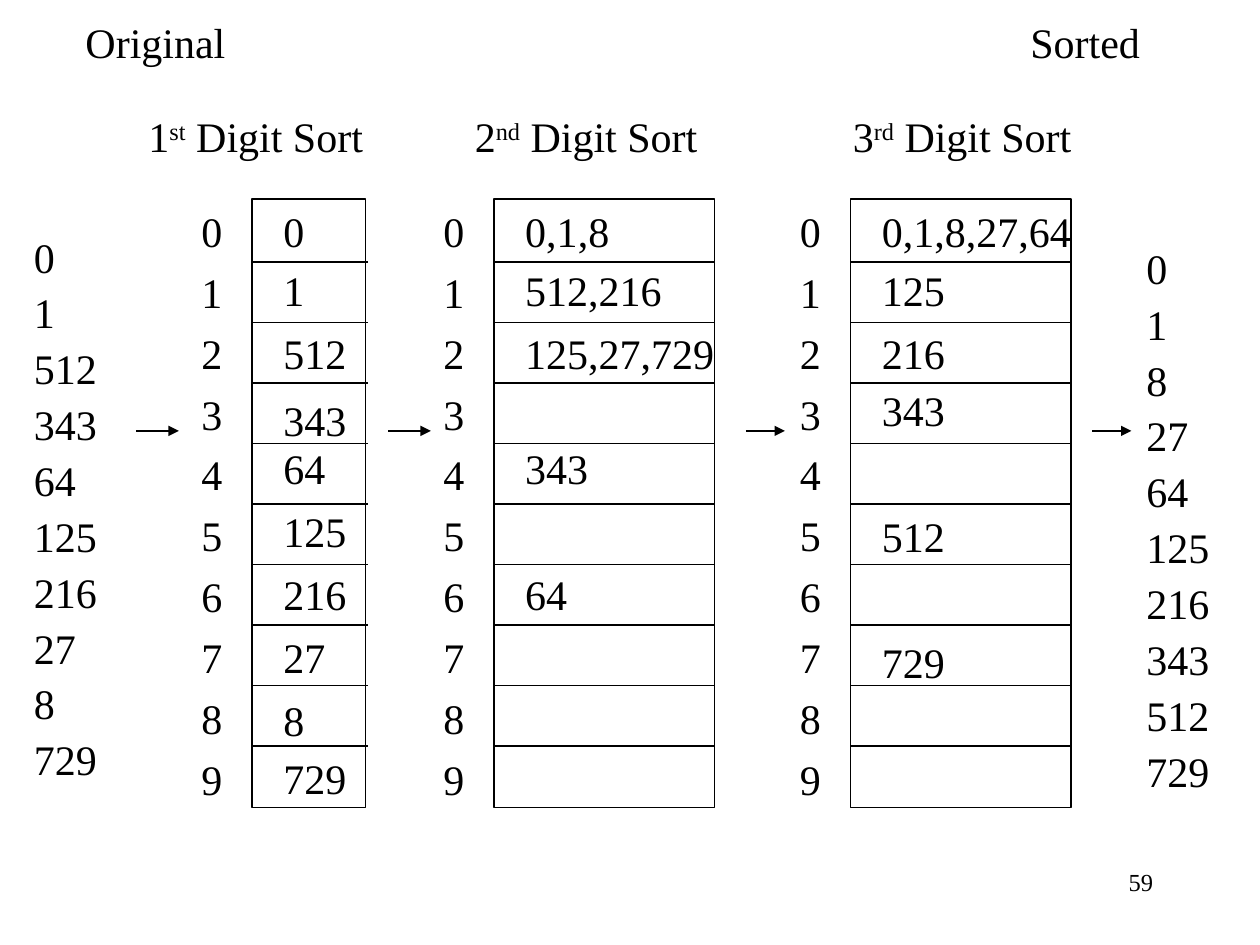
"""Build a slide that shows a radix sort of ten numbers in three passes."""
import pptx
import pptx.dml.color
import pptx.enum.shapes
import pptx.enum.text
import pptx.oxml.xmlchemy
import pptx.util
from pptx.util import Inches


def add_text(text, left, top, width, height=0.5, size=24, color="000000", wrap=False,
             align="LEFT", spacing=None, space_before=0, hanging=0):
    """Add a text box with one paragraph per line; parts between carets are superscript."""
    box = slide.shapes.add_textbox(Inches(left), Inches(top), Inches(width), Inches(height))
    frame = box.text_frame
    frame.word_wrap = wrap
    if not wrap:
        frame.auto_size = pptx.enum.text.MSO_AUTO_SIZE.SHAPE_TO_FIT_TEXT
    for index, line in enumerate(text.split("\n")):
        paragraph = frame.add_paragraph() if index else frame.paragraphs[0]
        paragraph.alignment = getattr(pptx.enum.text.PP_ALIGN, align)
        paragraph.line_spacing = spacing
        paragraph.space_before = pptx.util.Pt(space_before)
        if hanging:
            properties = paragraph._p.get_or_add_pPr()
            properties.set("marL", str(Inches(hanging)))
            properties.set("indent", str(-Inches(hanging)))
        for part_index, part in enumerate(line.split("^")):
            run = paragraph.add_run()
            run.text = part
            run.font.name = "Times New Roman"
            run.font.size = pptx.util.Pt(size)
            run.font.color.rgb = pptx.dml.color.RGBColor.from_string(color)
            if part_index % 2:
                run.font._element.set("baseline", "30000")


def add_line(left, top, right, color="000000", arrow=False):
    """Add a horizontal line, with an arrowhead at its right end if asked."""
    connector = slide.shapes.add_connector(
        pptx.enum.shapes.MSO_CONNECTOR.STRAIGHT,
        Inches(left), Inches(top), Inches(right), Inches(top))
    connector.line.color.rgb = pptx.dml.color.RGBColor.from_string(color)
    connector.line.width = pptx.util.Pt(0.75)
    if arrow:
        tail = pptx.oxml.xmlchemy.OxmlElement("a:tailEnd")
        tail.set("type", "triangle")
        connector.line._get_or_add_ln().append(tail)
    connector._element.spPr.append(pptx.oxml.xmlchemy.OxmlElement("a:effectLst"))


presentation = pptx.Presentation()
presentation.slide_width = Inches(10)
presentation.slide_height = Inches(7.5)
slide = presentation.slides.add_slide(presentation.slide_layouts[6])

add_text("Original", 0.58, 0.08, 1.31)
add_text("Sorted", 8.08, 0.08, 1.07)
add_text("59", 7.5, 6.83, 1.75, size=14, wrap=True, align="RIGHT")

original_numbers = "0 1 512 343 64 125 216 27 8 729".split()
sorted_numbers = sorted(original_numbers, key=int)
for numbers, left, top in [(original_numbers, 0.17, 1.83), (sorted_numbers, 9, 1.92)]:
    add_text("\n".join(numbers), left, top, 0.75, 4.5, wrap=True,
             spacing=0.9, space_before=6, hanging=0.38)

headings = [("1^st^ Digit Sort", 1.08, 1.92), ("2^nd^ Digit Sort", 3.67, 2),
            ("3^rd^ Digit Sort", 6.67, 1.96)]
for heading, left, width in headings:
    add_text(heading, left, 0.83, width)

bucket_top = 1.58
bucket_tables = [
    (2, 0.9, 0.92, [("0", 1.58), ("1", 2.05), ("512", 2.55), ("343", 3.08), ("64", 3.46),
                    ("125", 3.96), ("216", 4.46), ("27", 4.96), ("8", 5.46), ("729", 5.92)]),
    (3.92, 1.75, 1.75, [("0,1,8", 1.58), ("512,216", 2.05), ("125,27,729", 2.55),
                        ("343", 3.46), ("64", 4.46)]),
    (6.75, 1.75, 1.75, [("0,1,8,27,64", 1.58), ("125", 2.05), ("216", 2.55),
                        ("343", 3), ("512", 4), ("729", 5)]),
]
for left, width, divider_width, buckets in bucket_tables:
    add_text("\n".join("0123456789"), left - 0.5, bucket_top, 1.42, 4.81,
             wrap=True, space_before=6)
    frame_shape = slide.shapes.add_shape(
        pptx.enum.shapes.MSO_SHAPE.RECTANGLE,
        Inches(left), Inches(bucket_top), Inches(width), Inches(4.83))
    frame_shape.shadow.inherit = False
    frame_shape.fill.background()
    frame_shape.line.color.rgb = pptx.dml.color.RGBColor.from_string("000000")
    frame_shape.line.width = pptx.util.Pt(0.75)
    for row in range(9):
        add_line(left, 2.08 + 0.48 * row, left + divider_width)
    for bucket, top in buckets:
        commas = bucket.count(",")
        text_width = 0.2 + (len(bucket) - commas) / 6 + commas / 12
        add_text(bucket, left + 0.15, top, text_width)

for start, end in [(1.08, 1.42), (3.08, 3.42), (5.92, 6.23), (8.67, 8.98)]:
    add_line(start, 3.42, end, arrow=True)

presentation.save("out.pptx")
